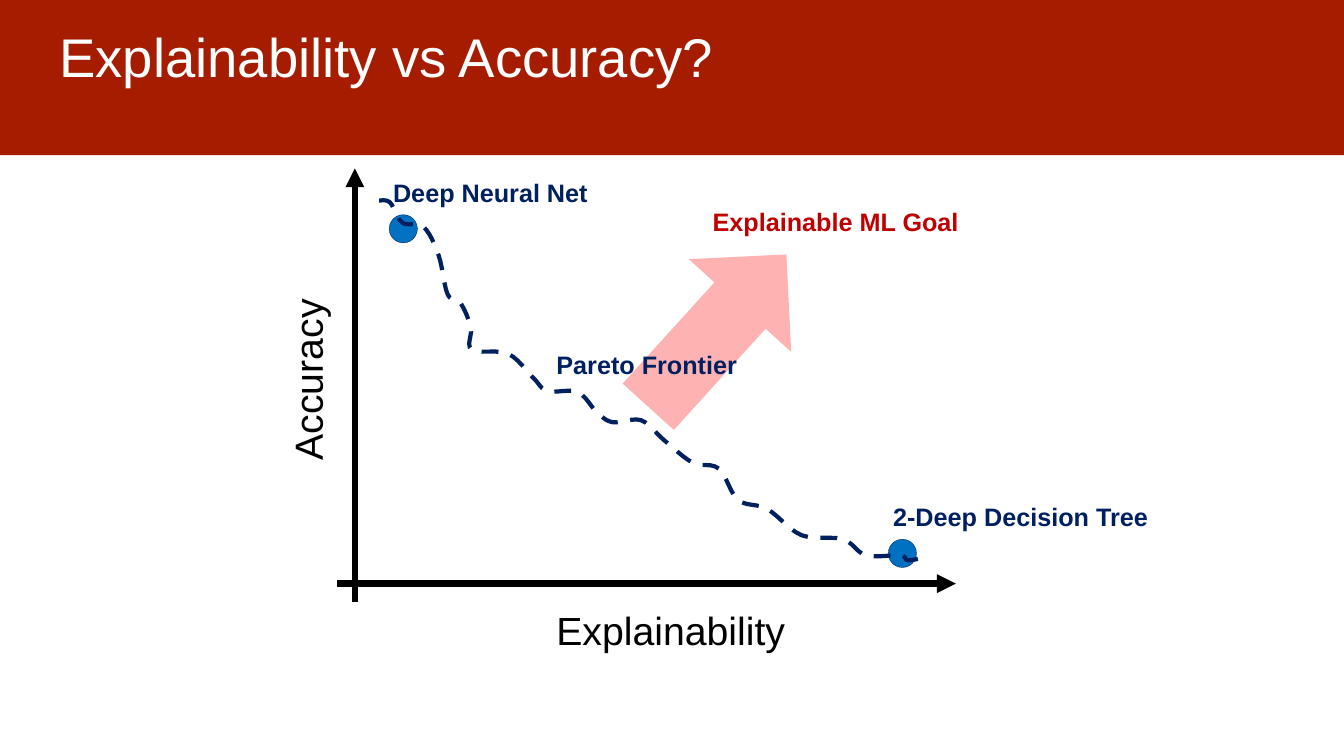
import dataclasses

import pptx
import pptx.util
import pptx.dml.color
import pptx.enum.dml
import pptx.enum.shapes
import pptx.enum.text
import pptx.oxml
import pptx.oxml.ns

Inches, Pt = pptx.util.Inches, pptx.util.Pt
RGBColor = pptx.dml.color.RGBColor
MSO_SHAPE = pptx.enum.shapes.MSO_SHAPE

RED = RGBColor(0xA6, 0x1C, 0x00)
GOAL_RED = RGBColor(0xC0, 0x00, 0x00)
ARROW_RED = RGBColor(0xFF, 0x00, 0x00)
NAVY = RGBColor(0x00, 0x20, 0x60)
BLUE = RGBColor(0x00, 0x70, 0xC0)
BLACK = RGBColor(0x00, 0x00, 0x00)
WHITE = RGBColor(0xFF, 0xFF, 0xFF)

SLIDE_W, SLIDE_H = 13.33, 7.5
TITLE_FONT = {"size": Pt(38.9), "color": WHITE}
AXIS_FONT = {"size": Pt(28), "color": BLACK}
LABEL_FONT = {"size": Pt(18), "bold": True, "color": NAVY}
GOAL_FONT = {**LABEL_FONT, "color": GOAL_RED}

DOT = 0.28                # diameter of a model marker
AXIS_OVERHANG = 0.18      # how far each axis runs past the crossing
STEPS_PER_BEND = 6        # short lines drawn between two bends


@dataclasses.dataclass
class Box:
    """A region in inches; inner() places a part relative to it."""
    x: float
    y: float
    w: float
    h: float

    def inner(self, dx, dy, w, h):
        return Box(self.x + dx, self.y + dy, w, h)

    def lengths(self):
        return [Inches(v) for v in (self.x, self.y, self.w, self.h)]


# Label boxes: text, offset and size within the plot, font, rotation
AXIS_TITLES = [
    ("Explainability", (2.08, 4.3, 2.5, 0.57), AXIS_FONT, 0),
    ("Accuracy", (-1.2, 1.8, 1.82, 0.57), AXIS_FONT, 270),
]
REGION_LABELS = [
    ("Pareto Frontier", (2.08, 1.75, 2.01, 0.4), LABEL_FONT, 0),
    ("Explainable ML Goal", (3.63, 0.33, 2.67, 0.4), GOAL_FONT, 0),
]
# Each model: name, marker offset, label offset from marker, label width
MODELS = [
    ("2-Deep Decision Tree", (5.47, 3.68), (-0.05, -0.43), 2.77),
    ("Deep Neural Net", (0.52, 0.46), (-0.06, -0.42), 2.15),
]
# Bends of the frontier, from accurate to explainable
FRONTIER_BENDS = [
    (0.42, 0.32), (0.53, 0.34), (0.65, 0.54), (0.86, 0.58), (1.01, 0.86),
    (1.1, 1.25), (1.23, 1.34), (1.33, 1.58), (1.34, 1.8), (1.7, 1.84),
    (1.95, 2.08), (2.09, 2.21), (2.39, 2.22), (2.58, 2.42), (2.74, 2.52),
    (3.02, 2.5), (3.25, 2.7), (3.53, 2.92), (3.79, 2.98), (3.98, 3.29),
    (4.27, 3.38), (4.61, 3.64), (5.02, 3.68), (5.25, 3.84), (5.59, 3.84),
    (5.67, 3.89), (5.86, 3.85),
]


def apply_format(target, values):
    for name, value in values.items():
        setattr(target, name, value)


def write(p, text, font):
    r = p.add_run()
    r.text = text
    style = {"name": "Arial", **font}
    r.font.color.rgb = style.pop("color")
    apply_format(r.font, style)


def drawing_xml(tag, attributes=""):
    return pptx.oxml.parse_xml(
        f'<a:{tag} {pptx.oxml.ns.nsdecls("a")} {attributes}/>')


def style_line(line, color, width):
    line.color.rgb = color
    line.width = Pt(width)


def add_label(slide, text, box, font, rotation=0):
    sp = slide.shapes.add_textbox(*box.lengths())
    sp.rotation = rotation
    sp.text_frame.word_wrap = False
    write(sp.text_frame.paragraphs[0], text, font)


def add_filled(slide, kind, box, color):
    sp = slide.shapes.add_shape(kind, *box.lengths())
    sp.shadow.inherit = False
    sp.fill.solid()
    sp.fill.fore_color.rgb = color
    sp.line.fill.background()
    return sp


def add_axis(slide, start, end):
    sp = slide.shapes.add_connector(
        pptx.enum.shapes.MSO_CONNECTOR.STRAIGHT,
        *[Inches(v) for v in (*start, *end)])
    style_line(sp.line, BLACK, 4.5)
    props = sp._element.spPr
    ln = props.find(pptx.oxml.ns.qn("a:ln"))
    ln.append(drawing_xml("tailEnd", 'type="triangle"'))
    props.append(drawing_xml("effectLst"))


def smooth(bends):
    """Catmull-Rom curve: passes through every bend without corners."""
    padded = [bends[0], *bends, bends[-1]]
    points = [bends[0]]
    for a, b, c, d in zip(padded, padded[1:], padded[2:], padded[3:]):
        for step in range(1, STEPS_PER_BEND + 1):
            t = step / STEPS_PER_BEND
            points.append(tuple(
                q + t / 2 * (r - p + t * (2 * p - 5 * q + 4 * r - s
                                          + t * (3 * q - p - 3 * r + s)))
                for p, q, r, s in zip(a, b, c, d)))
    return points


def add_frontier(slide, box):
    start, *others = smooth(FRONTIER_BENDS)
    builder = slide.shapes.build_freeform(*start, scale=Inches(1))
    # Work in EMU so that the fine steps keep their precision
    builder = slide.shapes.build_freeform(*[Inches(v) for v in start])
    builder.add_line_segments(
        [(Inches(x), Inches(y)) for x, y in others], close=False)
    curve = builder.convert_to_shape(Inches(box.x), Inches(box.y))
    curve.shadow.inherit = False
    curve.fill.background()
    style_line(curve.line, NAVY, 3)
    curve.line.dash_style = pptx.enum.dml.MSO_LINE.DASH


def add_goal_arrow(slide, box):
    arrow = add_filled(slide, MSO_SHAPE.UP_ARROW, box, ARROW_RED)
    arrow.rotation = 42.2
    color = arrow._element.spPr.find(".//" + pptx.oxml.ns.qn("a:srgbClr"))
    color.append(drawing_xml("alpha", 'val="30000"'))


def add_header(slide, box):
    # Band behind the title
    band = add_filled(slide, MSO_SHAPE.RECTANGLE, box, RED)
    title = slide.shapes.title
    band._element.addnext(title._element)
    # Title text
    place = box.inner(0.46, 0.09, box.w - 0.91, 0.83).lengths()
    apply_format(title, dict(zip(("left", "top", "width", "height"), place)))
    tf = title.text_frame
    apply_format(tf, {
        "margin_left": Inches(0.13), "margin_right": Inches(0.13),
        "margin_top": Inches(0.14), "margin_bottom": 0, "word_wrap": True,
        "vertical_anchor": pptx.enum.text.MSO_ANCHOR.TOP,
        "auto_size": pptx.enum.text.MSO_AUTO_SIZE.NONE})
    p = tf.paragraphs[0]
    p.alignment = pptx.enum.text.PP_ALIGN.LEFT
    write(p, "Explainability vs Accuracy?", TITLE_FONT)


def add_tradeoff_plot(slide, box):
    add_goal_arrow(slide, box.inner(3.09, 0.59, 1.37, 2.04))

    # Axes cross near the lower left corner
    right, bottom = box.x + box.w, box.y + box.h
    cross_x, cross_y = box.x + AXIS_OVERHANG, bottom - AXIS_OVERHANG
    add_axis(slide, (cross_x, bottom), (cross_x, box.y))
    add_axis(slide, (box.x, cross_y), (right, cross_y))

    # Models: a marker and its name
    for name, (dx, dy), (label_dx, label_dy), width in MODELS:
        dot_box = box.inner(dx, dy, DOT, DOT)
        dot = add_filled(slide, MSO_SHAPE.OVAL, dot_box, BLUE)
        style_line(dot.line, NAVY, 0.25)
        add_label(slide, name, dot_box.inner(label_dx, label_dy, width, 0.4), LABEL_FONT)

    add_frontier(slide, box)
    for text, place, font, rotation in AXIS_TITLES + REGION_LABELS:
        add_label(slide, text, box.inner(*place), font, rotation)


def main():
    prs = pptx.Presentation()
    prs.slide_width, prs.slide_height = Inches(SLIDE_W), Inches(SLIDE_H)
    slide = prs.slides.add_slide(prs.slide_layouts[5])
    add_header(slide, Box(0, 0, SLIDE_W, 1.54))
    add_tradeoff_plot(slide, Box(3.34, 1.67, 6.14, 4.3))
    prs.save("out.pptx")


if __name__ == "__main__":
    main()
